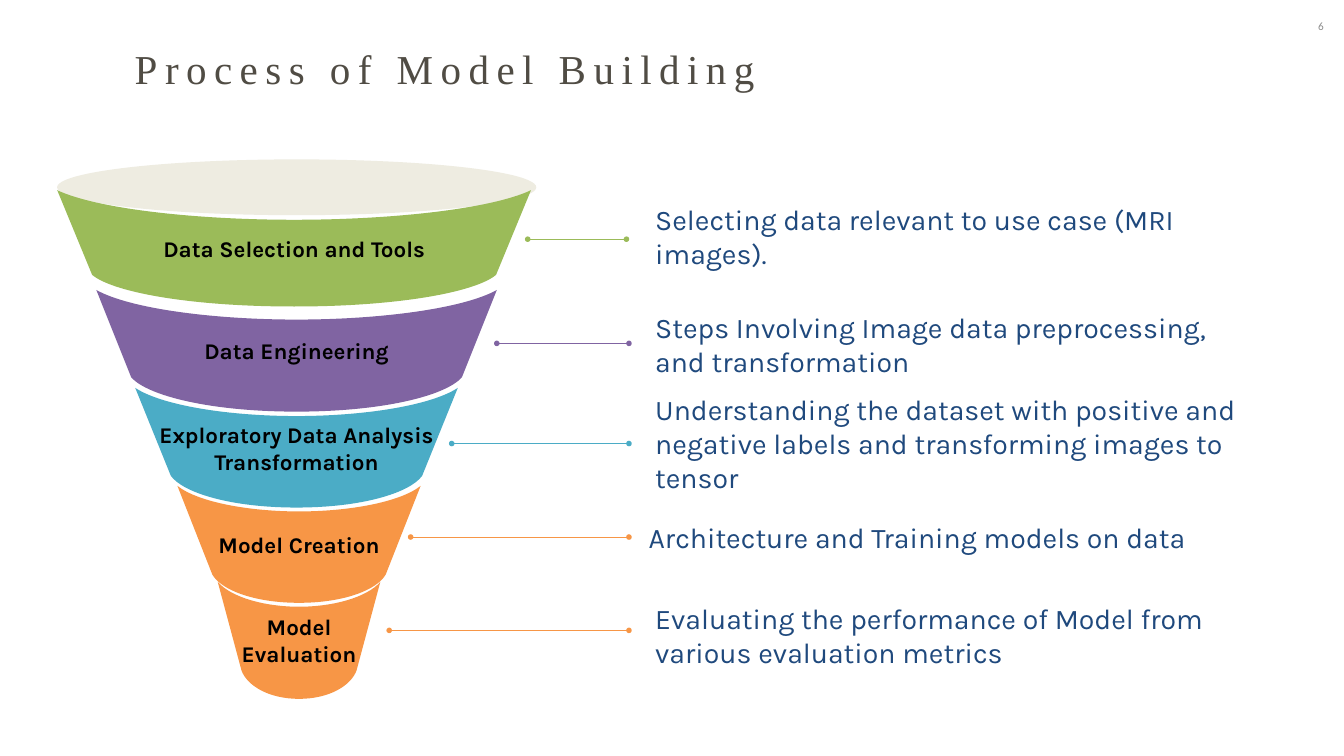
from dataclasses import dataclass

from lxml.etree import SubElement
from pptx import Presentation
from pptx.dml.color import RGBColor
from pptx.enum.shapes import MSO_CONNECTOR, MSO_SHAPE
from pptx.enum.text import MSO_ANCHOR, PP_ALIGN
from pptx.oxml.ns import qn
from pptx.util import Pt


@dataclass(frozen=True)
class Theme:
    green: str = "9BBB59"
    purple: str = "8064A2"
    teal: str = "4BACC6"
    orange: str = "F79646"
    rim: str = "EEECE1"
    title: str = "504C44"
    page: str = "8C8C8C"
    label: str = "000000"
    note: str = "1F497D"
    serif: str = "Times New Roman"
    sans: str = "Karla"
    plain: str = "Calibri"
    title_size: float = 44
    note_size: float = 30.5
    label_size: float = 24
    page_size: float = 12


def write(shape, text, size, font, color, bold=False, align=PP_ALIGN.LEFT,
          anchor=MSO_ANCHOR.MIDDLE, inset=(0, 0), pitch=None, track=None):
    """Fill a shape with text, one paragraph per line; inset is (side, top)."""
    frame = shape.text_frame
    frame.word_wrap = True
    frame.vertical_anchor = anchor
    frame.margin_left = frame.margin_right = Pt(inset[0])
    frame.margin_top = frame.margin_bottom = Pt(inset[1])
    for i, line in enumerate(text.split("\n")):
        para = frame.add_paragraph() if i else frame.paragraphs[0]
        para.alignment = align
        if pitch:
            para.line_spacing = Pt(pitch)
        run = para.add_run()
        run.text = line
        run.font.size = Pt(size)
        run.font.name = font
        run.font.bold = bold
        run.font.color.rgb = RGBColor.from_string(color)
        if track:
            run.font._element.set("spc", str(track * 100))


def bend(shape, starts):
    """Turn the three line segments from each start index into one cubic curve."""
    lines = list(shape._element.iter(qn("a:lnTo")))
    for i in starts:
        curve = lines[i]
        curve.tag = qn("a:cubicBezTo")
        for line in lines[i + 1:i + 3]:
            curve.append(line[0])
            line.getparent().remove(line)


theme = Theme()
deck = Presentation()
deck.slide_width, deck.slide_height = Pt(1440), Pt(810)
slide = deck.slides.add_slide(deck.slide_layouts[6])
shapes = slide.shapes

title = shapes.add_textbox(Pt(90), Pt(43.2), Pt(774), Pt(72.7))
write(title, "Process of Model Building", theme.title_size, theme.serif, theme.title,
      align=PP_ALIGN.CENTER, anchor=MSO_ANCHOR.TOP, pitch=56, track=8)
page = shapes.add_textbox(Pt(1332), Pt(20.2), Pt(86.4), Pt(61.9))
write(page, "6", theme.page_size, theme.plain, theme.page,
      align=PP_ALIGN.RIGHT, anchor=MSO_ANCHOR.TOP)

rim = shapes.add_shape(MSO_SHAPE.OVAL, Pt(61.2), Pt(170.8), Pt(513.4), Pt(59.8))
rim.shadow.inherit = False
rim.fill.solid()
rim.fill.fore_color.rgb = RGBColor.from_string(theme.rim)
rim.line.fill.background()

# label, color, (left, top, width, height), (side drop, side inset, top sag),
# line (start, end, y), note, note (left, top, width)
stages = [
    ("Data Selection and Tools", theme.green,
     (61.3, 203.8, 507.6, 124.6), (90.7, 37.4, 31.7), (565.4, 671.2, 256.3),
     "Selecting data relevant to use case (MRI images).", (702, 225.6, 630)),
    ("Data Engineering", theme.purple,
     (103.2, 310.7, 429.1, 130.3), (93.6, 37.4, 31.7), (532.3, 673.9, 367.9),
     "Steps Involving Image data preprocessing, and transformation", (702, 341.3, 630)),
    ("Exploratory Data Analysis\nTransformation", theme.teal,
     (144.9, 415.6, 345.6, 128.2), (94.3, 38.2, 30.2), (484, 673.9, 475.2),
     "Understanding the dataset with positive and negative labels "
     "and transforming images to tensor", (702, 448, 642.2)),
    ("Model Creation", theme.orange,
     (190.1, 520.6, 260.6, 125.3), (95, 37.4, 27.4), (440, 673.9, 575.4),
     "Architecture and Training models on data", (695, 548.6, 648.7)),
    ("Model Evaluation", theme.orange,
     (233.3, 623.5, 174.2, 125.3), (95, 25.5, 26.6), (417, 673.9, 675.4),
     "Evaluating the performance of Model from various evaluation metrics",
     (702, 653.2, 648.7)),
]

for label, color, box, shape, link, note, place in stages:
    left, top, width, height = box
    drop, inset, sag = shape
    start, end, y = link
    rgb = RGBColor.from_string(color)

    # Left half of the bottom and top edges; the right half mirrors them
    mid, low, half = left + width / 2, top + height, width / 2
    foot, base, depth = left + inset, half - inset, height - drop
    under = [(foot, top + drop), (foot + 0.1 * base, top + drop + 0.54 * depth),
             (mid - 0.52 * base, low), (mid, low)]
    over = [(mid, top + sag), (mid - 0.41 * half, top + sag),
            (left + 0.17 * half, top + 0.64 * sag), (left, top)]
    flip = [[(2 * mid - px, py) for px, py in reversed(side)] for side in (under, over)]
    edge = over[-1:] + under + flip[0][1:] + flip[1] + over[1:]
    points = [(Pt(px), Pt(py)) for px, py in edge]
    path = shapes.build_freeform(*points[0], scale=1.0)
    path.add_line_segments(points[1:], close=True)
    band = path.convert_to_shape()
    bend(band, (1, 4, 8, 11))
    band.shadow.inherit = False
    band.fill.solid()
    band.fill.fore_color.rgb = rgb
    band.line.fill.background()
    write(band, label, theme.label_size, theme.sans, theme.label, bold=True,
          align=PP_ALIGN.CENTER, inset=(10.8, 5))

    line = shapes.add_connector(MSO_CONNECTOR.STRAIGHT, Pt(start), Pt(y), Pt(end), Pt(y))
    line.line.color.rgb = rgb
    line.line.width = Pt(0.75)
    stroke = line.line._get_or_add_ln()
    for tip in ("a:headEnd", "a:tailEnd"):
        SubElement(stroke, qn(tip), type="oval")
    SubElement(line._element.spPr, qn("a:effectLst"))

    left, top, width = place
    text = shapes.add_textbox(Pt(left), Pt(top), Pt(width), Pt(54))
    write(text, note, theme.note_size, theme.sans, theme.note)

deck.save("out.pptx")
